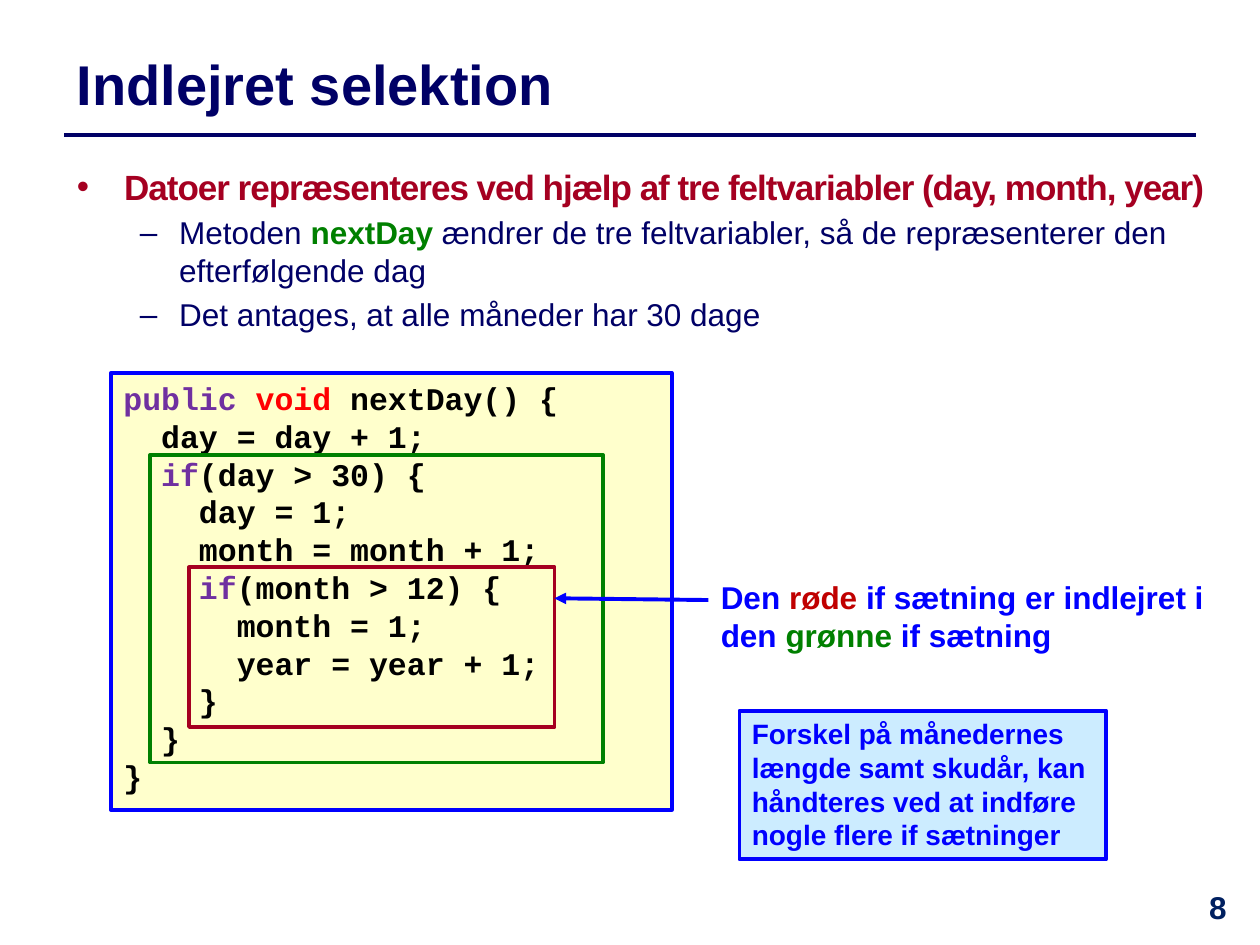
from lxml.etree import SubElement
from pptx import Presentation
from pptx.dml.color import RGBColor
from pptx.enum.shapes import MSO_CONNECTOR, MSO_SHAPE
from pptx.enum.text import MSO_ANCHOR, MSO_AUTO_SIZE, PP_ALIGN
from pptx.oxml.ns import qn
from pptx.util import Pt

NAVY = RGBColor(0x00, 0x00, 0x66)
DARK = RGBColor(0x00, 0x20, 0x60)
BLUE = RGBColor(0x00, 0x00, 0xFF)
GREEN = RGBColor(0x00, 0x80, 0x00)
WINE = RGBColor(0xA5, 0x00, 0x21)
ROSE = RGBColor(0xC0, 0x00, 0x00)
RED = RGBColor(0xFF, 0x00, 0x00)
PURPLE = RGBColor(0x70, 0x30, 0xA0)
BLACK = RGBColor(0x00, 0x00, 0x00)
CREAM = RGBColor(0xFF, 0xFF, 0xCC)
SKY = RGBColor(0xCC, 0xEC, 0xFF)

CODE = [
    [("public ", PURPLE), ("void ", RED), ("nextDay() {", BLACK)],
    [("  day = day + 1;", BLACK)],
    [("  ", BLACK), ("if", PURPLE), ("(day > 30) {", BLACK)],
    [("    day = 1;", BLACK)],
    [("    month = month + 1;", BLACK)],
    [("    ", BLACK), ("if", PURPLE), ("(month > 12) {", BLACK)],
    [("      month = 1;", BLACK)],
    [("      year = year + 1;", BLACK)],
    [("    }", BLACK)],
    [("  }", BLACK)],
    [("}", BLACK)],
]


def add_run(para, text, color, size, bold=True, face="Arial"):
    run = para.add_run()
    run.text = text
    font = run.font
    font.name, font.size, font.bold = face, Pt(size), bold
    font.color.rgb = color
    return run


def place(shape, box):
    shape.left, shape.top, shape.width, shape.height = map(Pt, box)


def set_frame(shape, anchor=MSO_ANCHOR.TOP):
    frame = shape.text_frame
    frame.word_wrap = True
    frame.auto_size = MSO_AUTO_SIZE.NONE
    frame.vertical_anchor = anchor
    return frame


def fill_lines(frame, lines, size, face="Arial"):
    for i, line in enumerate(lines):
        para = frame.add_paragraph() if i else frame.paragraphs[0]
        para.alignment = PP_ALIGN.LEFT
        for text, color in line:
            add_run(para, text, color, size, face=face)


def add_box(slide, box, color, width, fill=None):
    shape = slide.shapes.add_shape(MSO_SHAPE.RECTANGLE, *map(Pt, box))
    shape.shadow.inherit = False
    shape.line.color.rgb = color
    shape.line.width = Pt(width)
    if fill is None:
        shape.fill.background()
    else:
        shape.fill.solid()
        shape.fill.fore_color.rgb = fill
    return shape


def add_line(slide, start, end, color, width, arrow=False):
    line = slide.shapes.add_connector(
        MSO_CONNECTOR.STRAIGHT, *map(Pt, start + end))
    line.line.color.rgb = color
    line.line.width = Pt(width)
    if arrow:
        SubElement(line.line._get_or_add_ln(), qn("a:tailEnd"), type="triangle")
    SubElement(line._element.spPr, qn("a:effectLst"))


def add_title(slide, box):
    left, top, width, height = box
    title = slide.shapes.title
    place(title, box)
    frame = set_frame(title, MSO_ANCHOR.MIDDLE)
    fill_lines(frame, [[("Indlejret selektion", NAVY)]], 32)
    # Rule below the title
    y = top + height + 3
    add_line(slide, (left, y), (left + width, y), NAVY, 2)


def add_list(slide, box):
    body = slide.placeholders[1]
    place(body, box)
    frame = set_frame(body)
    head = "Datoer repræsenteres ved hjælp af tre feltvariabler (day, month, year)"
    items = [
        (0, [(head, WINE, True)]),
        (1, [("Metoden ", NAVY, False), ("nextDay", GREEN, True),
             (" ændrer de tre feltvariabler, så de repræsenterer den "
              "efterfølgende dag", NAVY, False)]),
        (1, [("Det antages, at alle måneder har 30 dage", NAVY, False)]),
    ]
    # Left margin, hanging indent and text size by level
    levels = [(27, -27, 20), (58.5, -22.5, 18)]
    for i, (level, runs) in enumerate(items):
        para = frame.add_paragraph() if i else frame.paragraphs[0]
        para.level = level
        margin, hang, size = levels[level]
        props = para._p.get_or_add_pPr()
        props.set("marL", str(Pt(margin)))
        props.set("indent", str(Pt(hang)))
        para.space_before = Pt(3.6 if i else 0)
        for text, color, bold in runs:
            run = add_run(para, text, color, size, bold)
            if level == 0:
                run.font._element.set("spc", "-60")


def add_code(slide, box):
    left, top, width, height = box
    panel = add_box(slide, box, BLUE, 2.25, CREAM)
    fill_lines(set_frame(panel), CODE, 18, "Courier New")
    # Frames around the outer and the inner if statement
    add_box(slide, (left + 22.3, top + 47, 259, 175.7), GREEN, 2)
    add_box(slide, (left + 44.6, top + 111, 209, 91.4), WINE, 2)


def add_note(slide, box):
    left, top, width, height = box
    text = slide.shapes.add_textbox(*map(Pt, box))
    fill_lines(set_frame(text), [[
        ("Den ", BLUE), ("røde", ROSE), (" if sætning er indlejret i den ", BLUE),
        ("grønne", GREEN), (" if sætning", BLUE)]], 18)
    # Arrow to the inner if statement
    add_line(slide, (left, top + 16), (left - 88, top + 15), BLUE, 2.25, True)


def add_hint(slide, box):
    panel = add_box(slide, box, BLUE, 2.25, SKY)
    fill_lines(set_frame(panel), [[
        ("Forskel på månedernes længde samt skudår, kan håndteres ved "
         "at indføre nogle flere if sætninger", BLUE)]], 16)


def add_number(slide, box):
    text = slide.shapes.add_textbox(*map(Pt, box))
    frame = set_frame(text)
    fill_lines(frame, [[("8", DARK)]], 18)
    frame.paragraphs[0].alignment = PP_ALIGN.CENTER


def main():
    deck = Presentation()
    deck.slide_width, deck.slide_height = Pt(720), Pt(540)
    slide = deck.slides.add_slide(deck.slide_layouts[1])
    add_title(slide, (36.7, 20.2, 646.6, 54))
    add_list(slide, (36.7, 90.7, 669, 136))
    add_code(slide, (63.4, 213.1, 320.4, 249.8))
    add_note(slide, (404.8, 326.9, 301, 51))
    add_hint(slide, (422.6, 406.1, 209.5, 85))
    add_number(slide, (671.8, 504, 48.2, 36))
    deck.save("out.pptx")


if __name__ == "__main__":
    main()
